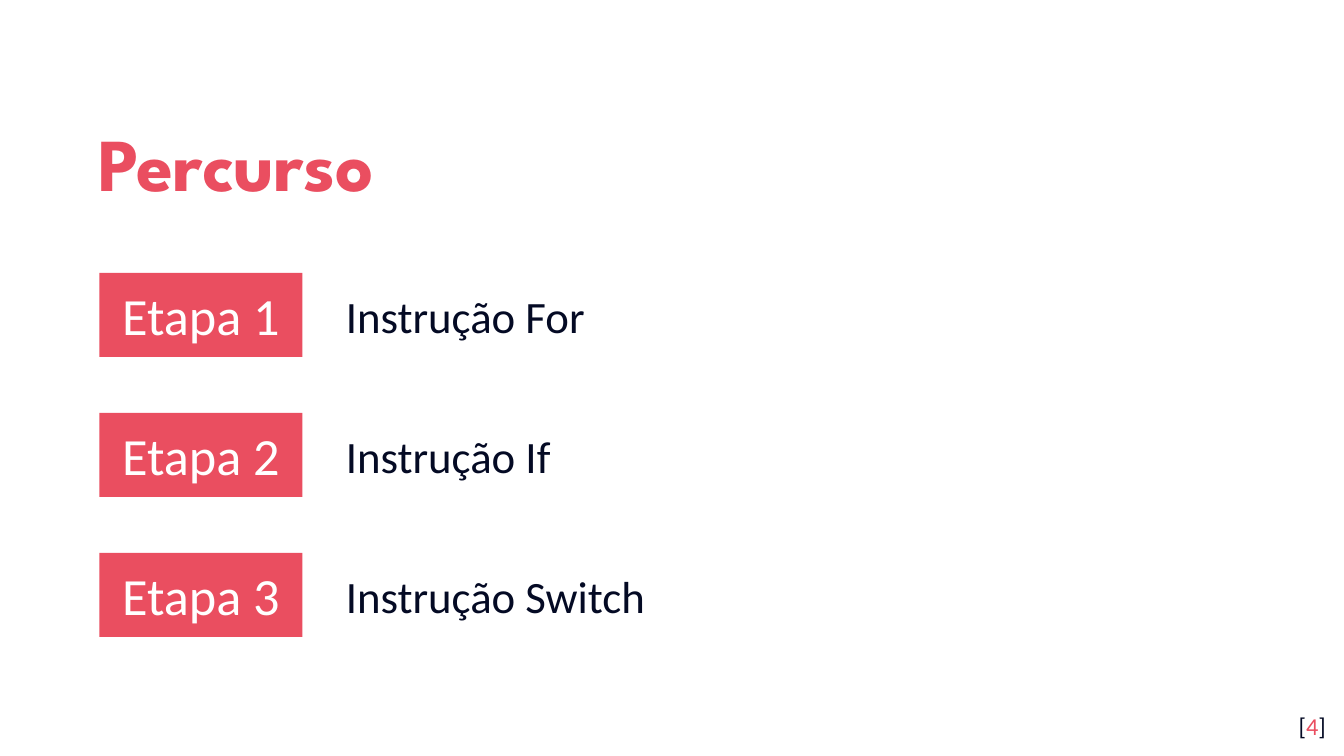
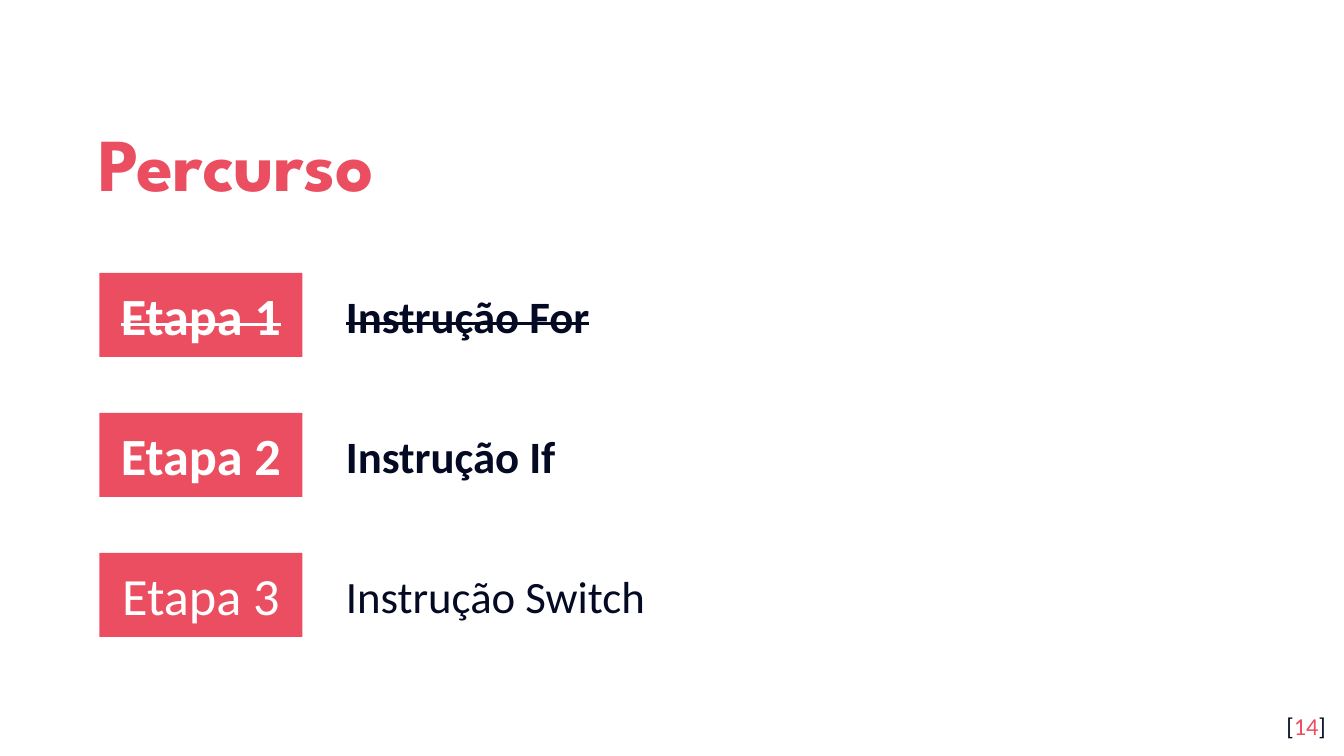
import pptx
import pptx.dml.color
import pptx.enum.shapes
import pptx.enum.text
import pptx.util

RGBColor = pptx.dml.color.RGBColor
Align = pptx.enum.text.PP_ALIGN
Anchor = pptx.enum.text.MSO_ANCHOR

CORAL = RGBColor(0xEA, 0x4E, 0x60)
NAVY = RGBColor(0x04, 0x0A, 0x24)
WHITE = RGBColor(0xFF, 0xFF, 0xFF)

BODY_FONT = "Calibri"
TITLE_FONT = "League Spartan"

EMU_PER_PX = 9525
PAGE_SIZE = (960, 540)
TITLE_BOX = (60, 67, 778, 88)
STEPS_BOX = (71, 195, 814, 260)
NUMBER_BOX = (899, 498, 58, 41)
INSET = 10
ROW_PITCH = 100
BADGE_SIZE = (145, 60)
TOPIC_LEFT = 166
TOPIC_HEIGHT = 48

TOPICS = ["Instrução For", "Instrução If", "Instrução Switch"]
PENDING = {}
CURRENT = {"bold": True}
DONE = {"bold": True, "strike": True}


def px(*lengths):
    return [pptx.util.Emu(length * EMU_PER_PX) for length in lengths]


def write(shape, spans, size, font=BODY_FONT, align=Align.LEFT, anchor=Anchor.TOP,
          inset=INSET, line_spacing=None, bold=False, strike=False):
    """Fill a shape with one paragraph made of (text, colour) spans."""
    frame = shape.text_frame
    frame.word_wrap = True
    frame.auto_size = pptx.enum.text.MSO_AUTO_SIZE.NONE
    frame.vertical_anchor = anchor
    frame.margin_left, frame.margin_right = px(INSET, INSET)
    frame.margin_top, frame.margin_bottom = px(inset, inset)
    para = frame.paragraphs[0]
    para.alignment = align
    if line_spacing:
        para.line_spacing = line_spacing
    for text, colour in spans:
        span = para.add_run()
        span.text = text
        span.font.name = font
        span.font.size = pptx.util.Pt(size)
        span.font.bold = bold
        span.font.color.rgb = colour
        if strike:
            span.font._element.set("strike", "sngStrike")


def add_title(page, box, text):
    title = page.shapes.title
    title.left, title.top, title.width, title.height = px(*box)
    write(title, [(text, CORAL)], 40, font=TITLE_FONT, anchor=Anchor.MIDDLE,
          line_spacing=1.15, bold=True)


def add_step(page, box, label, topic, style):
    """Place a coloured badge with its topic to the right."""
    left, top, width, height = box
    badge = page.shapes.add_shape(
        pptx.enum.shapes.MSO_SHAPE.RECTANGLE, *px(left, top, *BADGE_SIZE))
    badge.shadow.inherit = False
    badge.fill.solid()
    badge.fill.fore_color.rgb = CORAL
    badge.line.fill.background()
    write(badge, [(label, WHITE)], 28, align=Align.CENTER, anchor=Anchor.MIDDLE, **style)

    topic_top = top + (height - TOPIC_HEIGHT) // 2
    topic_box = page.shapes.add_textbox(
        *px(left + TOPIC_LEFT, topic_top, width - TOPIC_LEFT, TOPIC_HEIGHT))
    write(topic_box, [(topic, NAVY)], 24, inset=5, **style)


def add_steps(page, box, styles):
    left, top, width, _ = box
    for index, (topic, style) in enumerate(zip(TOPICS, styles)):
        row = (left, top + index * ROW_PITCH, width, BADGE_SIZE[1])
        add_step(page, row, f"Etapa {index + 1}", topic, style)


def add_page_number(page, box, number):
    shape = page.shapes.add_textbox(*px(*box))
    write(shape, [("[", NAVY), (str(number), CORAL), ("]", NAVY)], 13, align=Align.RIGHT)


def add_route_page(deck, number, styles):
    page = deck.slides.add_slide(deck.slide_layouts.get_by_name("Title Only"))
    page.background.fill.solid()
    page.background.fill.fore_color.rgb = WHITE
    add_title(page, TITLE_BOX, "Percurso")
    add_steps(page, STEPS_BOX, styles)
    add_page_number(page, NUMBER_BOX, number)


def main():
    deck = pptx.Presentation()
    deck.slide_width, deck.slide_height = px(*PAGE_SIZE)
    add_route_page(deck, 4, [PENDING, PENDING, PENDING])
    add_route_page(deck, 14, [DONE, CURRENT, PENDING])
    deck.save("out.pptx")


if __name__ == "__main__":
    main()
